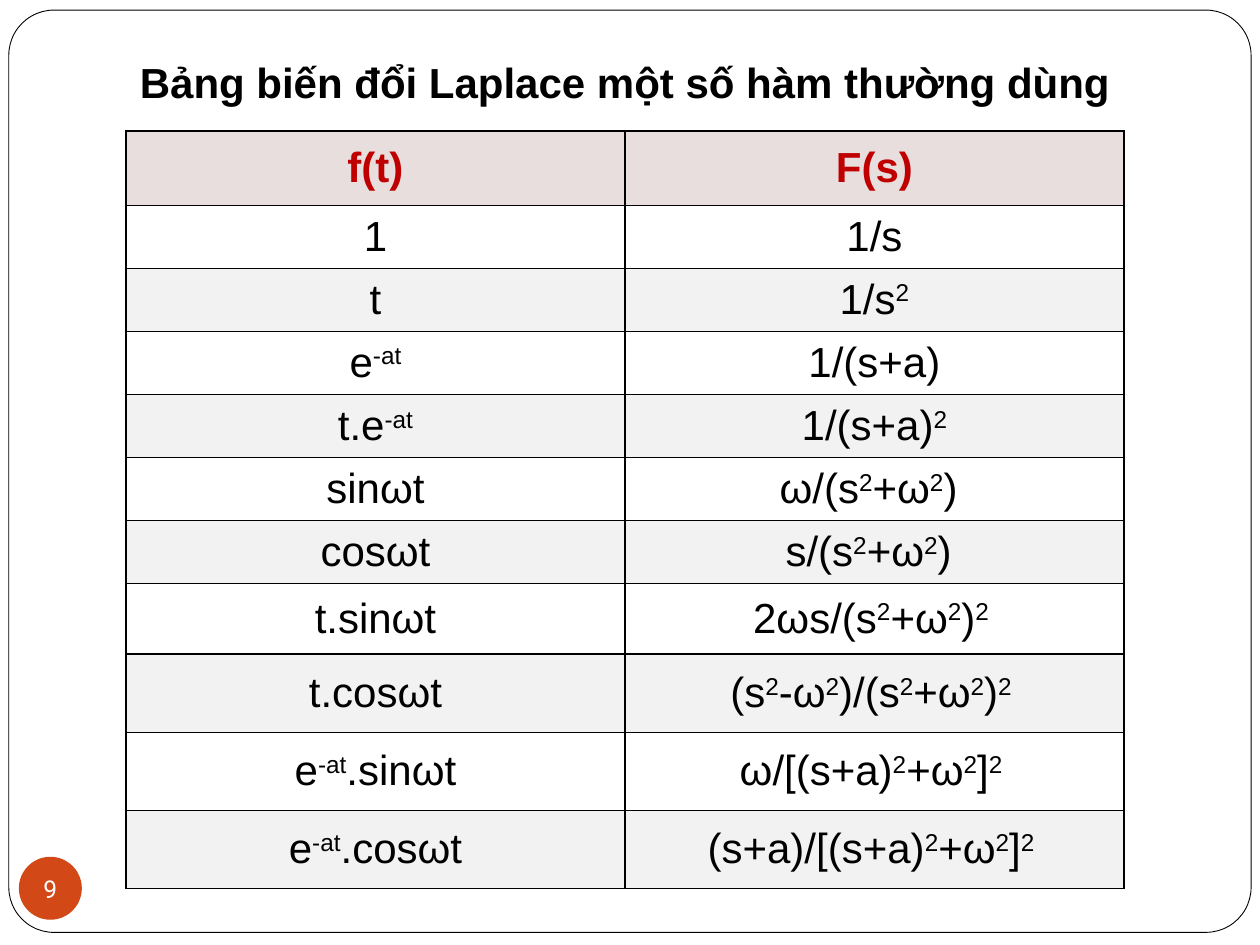
from dataclasses import dataclass

from lxml.etree import SubElement
from pptx import Presentation
from pptx.dml.color import RGBColor
from pptx.enum.shapes import MSO_SHAPE
from pptx.enum.text import MSO_ANCHOR, PP_ALIGN
from pptx.oxml.ns import qn
from pptx.util import Inches, Pt


@dataclass(frozen=True)
class Theme:
    font: str = "Arial"
    number_font: str = "Roboto"
    body_size: int = 24
    number_size: int = 14
    ink: str = "000000"
    paper: str = "FFFFFF"
    heading: str = "C00000"
    heading_fill: str = "E8DEDE"
    band: str = "F2F2F2"
    badge: str = "D34817"


@dataclass(frozen=True)
class Transform:
    time: str
    image: str
    height: float = 0.49


THEME = Theme()
SUPERSCRIPT_MARK = "|"
HEADER = Transform("f(t)", "F(s)", 0.59)
TRANSFORMS = [
    Transform("1", "1/s"),
    Transform("t", "1/s|2"),
    Transform("e|-at", "1/(s+a)"),
    Transform("t.e|-at", "1/(s+a)|2"),
    Transform("sinωt", "ω/(s|2|+ω|2|) "),
    Transform("cosωt", "s/(s|2|+ω|2|) "),
    Transform("t.sinωt", "2ωs/(s|2|+ω|2|)|2 ", 0.56),
    Transform("t.cosωt", "(s|2|-ω|2|)/(s|2|+ω|2|)|2 ", 0.62),
    Transform("e|-at|.sinωt", "ω/[(s+a)|2|+ω|2|]|2 ", 0.62),
    Transform("e|-at|.cosωt", "(s+a)/[(s+a)|2|+ω|2|]|2 ", 0.62),
]


def rgb(color: str) -> RGBColor:
    return RGBColor.from_string(color)


def style_font(font, color: str, bold: bool = False,
               size: int = THEME.body_size, name: str = THEME.font) -> None:
    font.name = name
    font.size = Pt(size)
    font.bold = bold
    font.color.rgb = rgb(color)


def set_margins(tf, left: float, top: float, right: float, bottom: float) -> None:
    tf.margin_left, tf.margin_top = Inches(left), Inches(top)
    tf.margin_right, tf.margin_bottom = Inches(right), Inches(bottom)


def write_formula(p, formula: str, color: str, bold: bool) -> None:
    p.alignment = PP_ALIGN.CENTER
    for i, part in enumerate(formula.split(SUPERSCRIPT_MARK)):
        r = p.add_run()
        r.text = part
        style_font(r.font, color, bold)
        if i % 2:
            r.font._element.set("baseline", "30000")


def set_borders(cell, color: str, width: float) -> None:
    tc_pr = cell._tc.get_or_add_tcPr()
    for i, side in enumerate(("lnL", "lnR", "lnT", "lnB")):
        ln = SubElement(tc_pr, qn(f"a:{side}"), w=str(Pt(width)))
        fill = SubElement(ln, qn("a:solidFill"))
        SubElement(fill, qn("a:srgbClr"), val=color)
        tc_pr.insert(i, ln)


def add_frame(slide) -> None:
    sp = slide.shapes.add_shape(MSO_SHAPE.ROUNDED_RECTANGLE, Inches(0.07),
                                Inches(0.08), Inches(9.86), Inches(7.32))
    sp.adjustments[0] = 0.049
    sp.shadow.inherit = False
    sp.fill.solid()
    sp.fill.fore_color.rgb = rgb(THEME.paper)
    sp.line.color.rgb = rgb(THEME.ink)
    sp.line.width = Pt(0.5)


def add_title(slide, text: str) -> None:
    sp = slide.shapes.add_textbox(Inches(1), Inches(0.25), Inches(7.92), Inches(0.7))
    tf = sp.text_frame
    tf.word_wrap = True
    tf.vertical_anchor = MSO_ANCHOR.BOTTOM
    set_margins(tf, 0.1, 0.05, 0.1, 0.1)
    tf.text = text
    p = tf.paragraphs[0]
    p.alignment = PP_ALIGN.CENTER
    style_font(p.runs[0].font, THEME.ink, bold=True)


def add_transform_table(slide, rows: list[Transform]) -> None:
    height = sum(row.height for row in rows)
    table = slide.shapes.add_table(len(rows), 2, Inches(1), Inches(1.04),
                                   Inches(7.92), Inches(height)).table
    for i, row in enumerate(rows):
        table.rows[i].height = Inches(row.height)
        is_header = i == 0
        band = THEME.paper if i % 2 else THEME.band
        for j, formula in enumerate((row.time, row.image)):
            cell = table.cell(i, j)
            cell.vertical_anchor = MSO_ANCHOR.MIDDLE
            cell.fill.solid()
            cell.fill.fore_color.rgb = rgb(THEME.heading_fill if is_header else band)
            set_borders(cell, THEME.ink, 1)
            write_formula(cell.text_frame.paragraphs[0], formula,
                          THEME.heading if is_header else THEME.ink, is_header)


def add_slide_number(slide, number: str) -> None:
    sp = slide.shapes.add_shape(MSO_SHAPE.OVAL, Inches(0.15), Inches(6.8),
                                Inches(0.5), Inches(0.5))
    sp.shadow.inherit = False
    sp.fill.solid()
    sp.fill.fore_color.rgb = rgb(THEME.badge)
    sp.line.fill.background()
    tf = sp.text_frame
    tf.word_wrap = False
    tf.vertical_anchor = MSO_ANCHOR.MIDDLE
    set_margins(tf, 0, 0, 0, 0)
    tf.text = number
    p = tf.paragraphs[0]
    p.alignment = PP_ALIGN.CENTER
    style_font(p.runs[0].font, THEME.paper, size=THEME.number_size,
               name=THEME.number_font)


def main() -> None:
    prs = Presentation()
    prs.slide_width, prs.slide_height = Inches(10), Inches(7.5)
    slide = prs.slides.add_slide(prs.slide_layouts[6])
    add_frame(slide)
    add_title(slide, "Bảng biến đổi Laplace một số hàm thường dùng")
    add_transform_table(slide, [HEADER, *TRANSFORMS])
    add_slide_number(slide, "9")
    prs.save("out.pptx")


if __name__ == "__main__":
    main()
